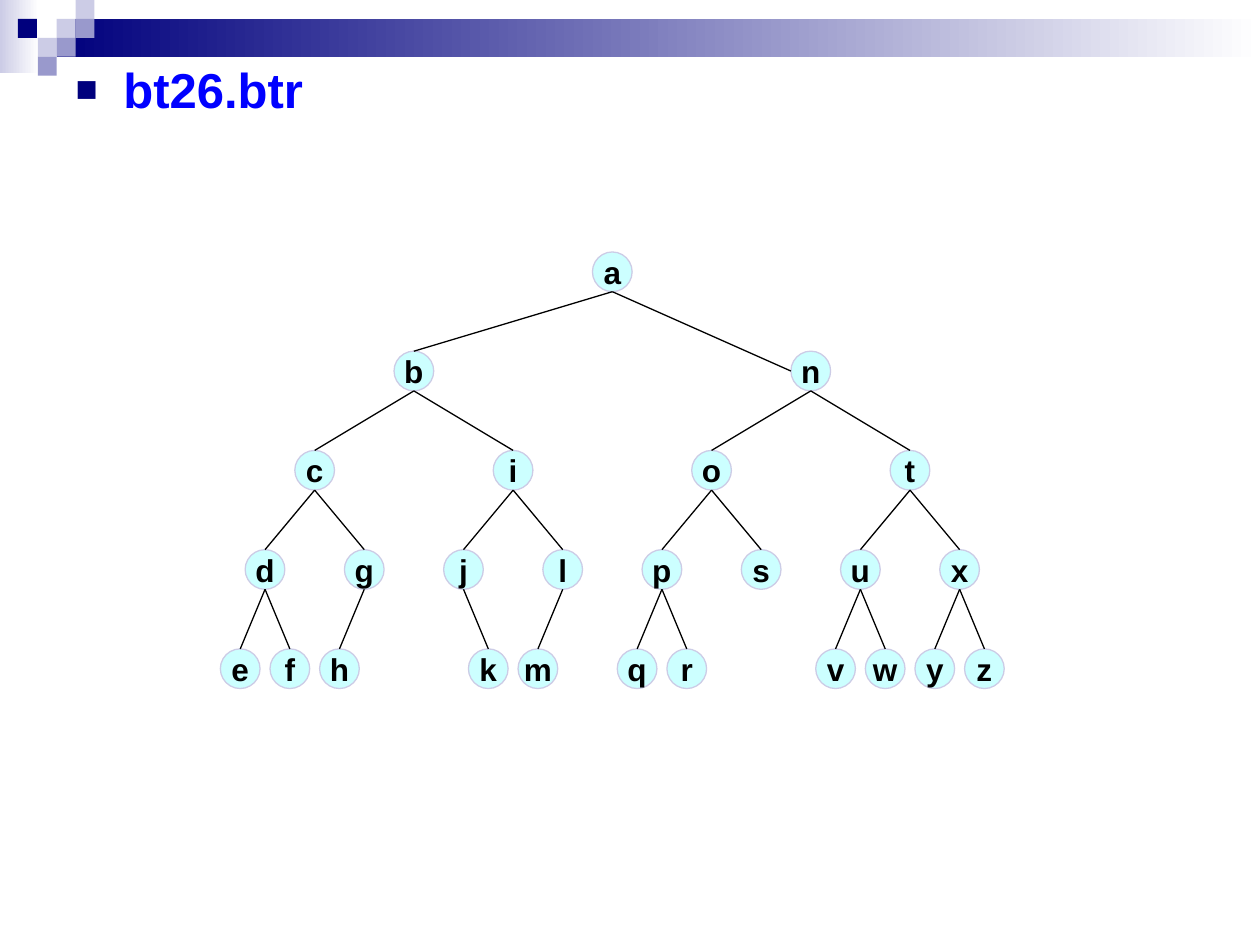
import dataclasses

import pptx
import pptx.dml.color
import pptx.enum.shapes
import pptx.enum.text
import pptx.oxml
import pptx.oxml.ns
import pptx.util

SHAPE = pptx.enum.shapes.MSO_SHAPE
STRAIGHT = pptx.enum.shapes.MSO_CONNECTOR.STRAIGHT
inches = pptx.util.Inches


@dataclasses.dataclass(frozen=True)
class Theme:
    font: str = "Arial"
    heading_size: int = 28
    node_size: int = 18
    line_width: float = 0.75
    navy: str = "00007D"
    violet: str = "9999CC"
    lilac: str = "CCCCE6"
    white: str = "FFFFFF"
    black: str = "000000"
    heading: str = "0000FF"
    node: str = "CCFFFF"


THEME = Theme()

# Header mosaic: colour, column and row of each square
CELL = 0.15
SQUARES = [
    (THEME.lilac, 3, 1), (THEME.lilac, 4, 0), (THEME.violet, 4, 1),
    (THEME.lilac, 2, 2), (THEME.navy, 0.95, 1), (THEME.violet, 3, 2),
    (THEME.violet, 2, 3),
]

# Binary tree, level by level; a dot is an absent child
LEVELS = ["a", "bn", "ciot", "dgjlpsux", "efh..km.qr..vwyz"]
TREE_LEFT, TREE_TOP, TREE_WIDTH = 1.71, 2, 6.3
ROW_PITCH = TREE_WIDTH / 8
NODE_SIDE = ROW_PITCH * 2 / 5


def rgb(value):
    return pptx.dml.color.RGBColor.from_string(value)


def add_span(para, text, size, color):
    span = para.add_run()
    span.text = text
    span.font.name = THEME.font
    span.font.size = pptx.util.Pt(size)
    span.font.bold = True
    span.font.color.rgb = rgb(color)


def add_block(shapes, left, top, width, height, start, end=None):
    """A borderless rectangle, plain or fading from left to right."""
    block = shapes.add_shape(SHAPE.RECTANGLE, inches(left), inches(top),
                             inches(width), inches(height))
    block.shadow.inherit = False
    block.line.fill.background()
    if end is None:
        block.fill.solid()
        block.fill.fore_color.rgb = rgb(start)
    else:
        block.fill.gradient()
        block.fill.gradient_angle = 0
        for stop, color in zip(block.fill.gradient_stops, (start, end)):
            stop.color.rgb = rgb(color)


def add_header(shapes):
    add_block(shapes, 0, 0, 0.31, 0.58, THEME.lilac, THEME.white)
    add_block(shapes, 3 * CELL, CELL, 10 - 3 * CELL, 2 * CELL,
              THEME.navy, THEME.white)
    for color, column, row in SQUARES:
        add_block(shapes, column * CELL, row * CELL, CELL, CELL, color)


def add_bullet(para, indent):
    properties = para._p.get_or_add_pPr()
    properties.set("marL", str(inches(indent)))
    properties.set("indent", str(-inches(indent)))
    namespace = pptx.oxml.ns.nsdecls("a")
    for xml in (
        f'<a:buClr {namespace}><a:srgbClr val="{THEME.navy}"/></a:buClr>',
        f'<a:buSzPct {namespace} val="75000"/>',
        f'<a:buFont {namespace} typeface="{THEME.font}"/>',
        f'<a:buChar {namespace} char="■"/>',
    ):
        properties.append(pptx.oxml.parse_xml(xml))


def fill_body(page, text):
    body = page.placeholders[1]
    body.left, body.top = inches(0.5), inches(0.42)
    body.width, body.height = inches(9.08), inches(7.08)
    body.text_frame.auto_size = pptx.enum.text.MSO_AUTO_SIZE.NONE
    para = body.text_frame.paragraphs[0]
    para.space_before = pptx.util.Pt(7)
    add_bullet(para, 0.38)
    add_span(para, text, THEME.heading_size, THEME.heading)
    # Bring the text in front of the header
    page.shapes._spTree.append(body._element)


def node_center(level, column):
    slot = TREE_WIDTH / len(LEVELS[level])
    return (TREE_LEFT + slot * (column + 0.5),
            TREE_TOP + ROW_PITCH * level + NODE_SIDE / 2)


def add_node(shapes, level, column):
    x, y = node_center(level, column)
    node = shapes.add_shape(
        SHAPE.OVAL, inches(x - NODE_SIDE / 2), inches(y - NODE_SIDE / 2),
        inches(NODE_SIDE), inches(NODE_SIDE))
    node.shadow.inherit = False
    node.fill.solid()
    node.fill.fore_color.rgb = rgb(THEME.node)
    node.line.color.rgb = rgb(THEME.lilac)
    node.line.width = pptx.util.Pt(THEME.line_width)
    frame = node.text_frame
    frame.word_wrap = False
    frame.vertical_anchor = pptx.enum.text.MSO_ANCHOR.MIDDLE
    para = frame.paragraphs[0]
    para.alignment = pptx.enum.text.PP_ALIGN.CENTER
    add_span(para, LEVELS[level][column], THEME.node_size, THEME.black)


def add_edge(shapes, level, column):
    """A line from the parent's foot to the child."""
    parent_x, parent_y = node_center(level - 1, column // 2)
    x, y = node_center(level, column)
    if LEVELS[level][column] == "n":  # this edge meets the node's left side
        x -= NODE_SIDE / 2
    else:
        y -= NODE_SIDE / 2
    edge = shapes.add_connector(
        STRAIGHT, inches(parent_x), inches(parent_y + NODE_SIDE / 2),
        inches(x), inches(y))
    edge.line.color.rgb = rgb(THEME.black)
    edge.line.width = pptx.util.Pt(THEME.line_width)
    edge._element.spPr.append(
        pptx.oxml.parse_xml(f'<a:effectLst {pptx.oxml.ns.nsdecls("a")}/>'))


def add_tree(page):
    shapes = page.shapes.add_group_shape().shapes
    for level, letters in enumerate(LEVELS):
        for column, letter in enumerate(letters):
            if letter == ".":
                continue
            add_node(shapes, level, column)
            if level:
                add_edge(shapes, level, column)


def main():
    deck = pptx.Presentation()
    deck.slide_width, deck.slide_height = inches(10), inches(7.5)
    page = deck.slides.add_slide(deck.slide_layouts[1])
    # The page has no title
    title = page.shapes.title._element
    title.getparent().remove(title)
    add_header(page.shapes)
    fill_body(page, "bt26.btr")
    add_tree(page)
    deck.save("out.pptx")


if __name__ == "__main__":
    main()
